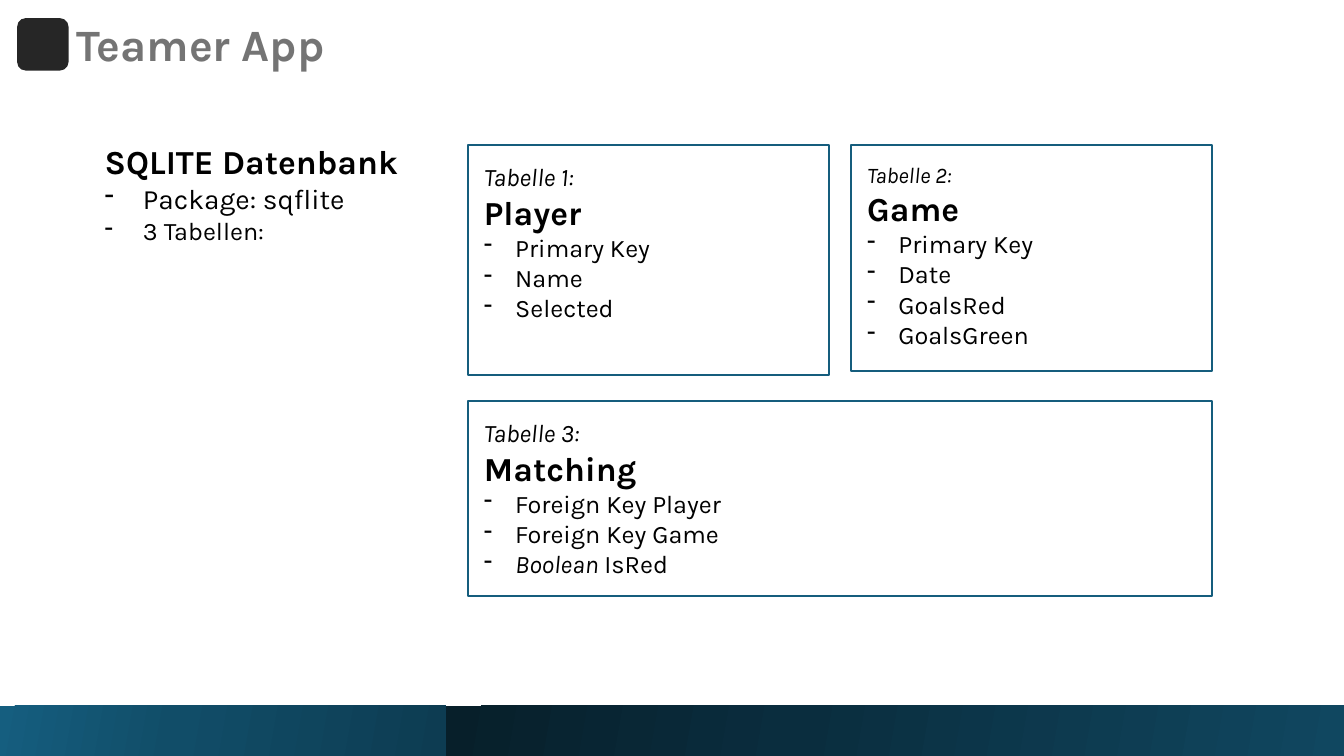
from copy import deepcopy
from dataclasses import dataclass

from lxml import etree
from pptx import Presentation
from pptx.dml.color import RGBColor
from pptx.enum.shapes import MSO_SHAPE
from pptx.enum.text import MSO_ANCHOR, PP_ALIGN
from pptx.oxml.ns import qn
from pptx.shapes.autoshape import Shape
from pptx.slide import Slide
from pptx.text.text import TextFrame, _Paragraph
from pptx.util import Emu, Pt

RECT, ROUND_RECT = MSO_SHAPE.RECTANGLE, MSO_SHAPE.ROUNDED_RECTANGLE
TOP, MIDDLE = MSO_ANCHOR.TOP, MSO_ANCHOR.MIDDLE
LEFT, CENTER = PP_ALIGN.LEFT, PP_ALIGN.CENTER
EMU_PER_PX = 9144  # 100 px to the inch


@dataclass(frozen=True)
class Theme:
    font: str = "Karla"
    ink: str = "000000"
    title_ink: str = "747474"
    badge: str = "262626"
    border: str = "155D7D"
    footer_left: tuple[str, ...] = ("155E7F", "114D68", "0D3C52")
    footer_right: tuple[str, ...] = ("071F2A", "0A2D3E", "104760")
    title: int = 32
    heading: int = 24
    lead: int = 20
    body: int = 18
    small: int = 16


THEME = Theme()


@dataclass(frozen=True)
class Box:
    left: int
    top: int
    width: int
    height: int

    def emu(self) -> tuple[Emu, ...]:
        return tuple(px(n) for n in (self.left, self.top, self.width, self.height))


@dataclass(frozen=True)
class TableCard:
    box: Box
    label: str
    name: str
    fields: tuple[str, ...]
    label_size: int = THEME.body
    bottom_inset: int = 16
    italic_prefix: str = ""  # italic start of the last field


CARDS = (
    TableCard(Box(464, 144, 358, 228), "Tabelle 1:", "Player",
              ("Primary Key", "Name", "Selected"), bottom_inset=20),
    TableCard(Box(844, 144, 358, 224), "Tabelle 2:", "Game",
              ("Primary Key", "Date", "GoalsRed", "GoalsGreen"), label_size=THEME.small),
    TableCard(Box(464, 398, 738, 193), "Tabelle 3:", "Matching",
              ("Foreign Key Player", "Foreign Key Game", " IsRed"), italic_prefix="Boolean"),
)
FOOTER = (
    (Box(0, 700, 442, 50), THEME.footer_left),
    (Box(442, 700, 892, 50), THEME.footer_right),
)


def px(count: int) -> Emu:
    return Emu(count * EMU_PER_PX)


def write(paragraph: _Paragraph, text: str, *, size: int = THEME.body, bold: bool = False,
          italic: bool = False, color: str = THEME.ink, line_break: bool = False) -> None:
    run = paragraph.add_run()
    run.text = text
    font = run.font
    font.name, font.size, font.bold, font.italic = THEME.font, Pt(size), bold, italic
    font.color.rgb = RGBColor.from_string(color)
    if line_break:
        paragraph.add_line_break()
        # the break takes the run's format, so it does not raise the line
        paragraph._p[-1].append(deepcopy(run._r.rPr))


def add_bullet(frame: TextFrame, indent: int) -> _Paragraph:
    paragraph = frame.add_paragraph()
    paragraph.alignment = LEFT
    properties = paragraph._p.get_or_add_pPr()
    properties.set("marL", str(px(indent)))
    properties.set("indent", str(px(-indent)))
    etree.SubElement(properties, qn("a:buChar")).set("char", "-")
    return paragraph


def add_plain_shape(slide: Slide, box: Box, kind: MSO_SHAPE = RECT) -> Shape:
    shape = slide.shapes.add_shape(kind, *box.emu())
    shape.shadow.inherit = False
    shape.fill.background()
    shape.line.fill.background()
    return shape


def add_text_frame(slide: Slide, box: Box, *, wrap: bool = True) -> TextFrame:
    frame = slide.shapes.add_textbox(*box.emu()).text_frame
    frame.word_wrap = wrap
    return frame


def add_footer_bar(slide: Slide, box: Box, colors: tuple[str, ...]) -> None:
    fill = add_plain_shape(slide, box).fill
    fill.gradient()
    fill.gradient_angle = 350
    first_stop = fill.gradient_stops[0]._gs
    first_stop.addnext(deepcopy(first_stop))
    for stop, color, position in zip(fill.gradient_stops, colors, (0, 0.39, 1)):
        stop.color.rgb = RGBColor.from_string(color)
        stop.position = position


def add_table_card(slide: Slide, card: TableCard) -> None:
    outline = add_plain_shape(slide, card.box)
    outline.line.color.rgb = RGBColor.from_string(THEME.border)
    outline.line.width = Pt(1.5)
    frame = outline.text_frame
    frame.word_wrap = True
    frame.vertical_anchor = TOP
    frame.margin_left = frame.margin_top = frame.margin_right = px(16)
    frame.margin_bottom = px(card.bottom_inset)
    heading = frame.paragraphs[0]
    heading.alignment = LEFT
    write(heading, card.label, size=card.label_size, italic=True, line_break=True)
    write(heading, card.name, size=THEME.heading, bold=True)
    for field in card.fields:
        bullet = add_bullet(frame, 31)
        if card.italic_prefix and field == card.fields[-1]:
            write(bullet, card.italic_prefix, italic=True)
        write(bullet, field)


def add_title(slide: Slide) -> None:
    badge = add_plain_shape(slide, Box(17, 18, 51, 52), ROUND_RECT)
    badge.fill.solid()
    badge.fill.fore_color.rgb = RGBColor.from_string(THEME.badge)
    frame = add_text_frame(slide, Box(66, 14, 266, 66), wrap=False)
    frame.vertical_anchor = MIDDLE
    title = frame.paragraphs[0]
    title.alignment = CENTER
    title.line_spacing = 0.9
    write(title, "Teamer App", size=THEME.title, bold=True, color=THEME.title_ink)


def add_database_summary(slide: Slide) -> None:
    frame = add_text_frame(slide, Box(94, 135, 316, 114))
    write(frame.paragraphs[0], "SQLITE Datenbank", size=THEME.heading, bold=True)
    for fact, size in (("Package: sqflite", THEME.lead), ("3 Tabellen:", THEME.body)):
        write(add_bullet(frame, 38), fact, size=size)


def main() -> None:
    presentation = Presentation()
    presentation.slide_width, presentation.slide_height = px(1333), px(750)
    slide = presentation.slides.add_slide(presentation.slide_layouts[6])
    add_title(slide)
    for box, colors in FOOTER:
        add_footer_bar(slide, box, colors)
    add_database_summary(slide)
    for card in CARDS:
        add_table_card(slide, card)
    presentation.save("out.pptx")


if __name__ == "__main__":
    main()
